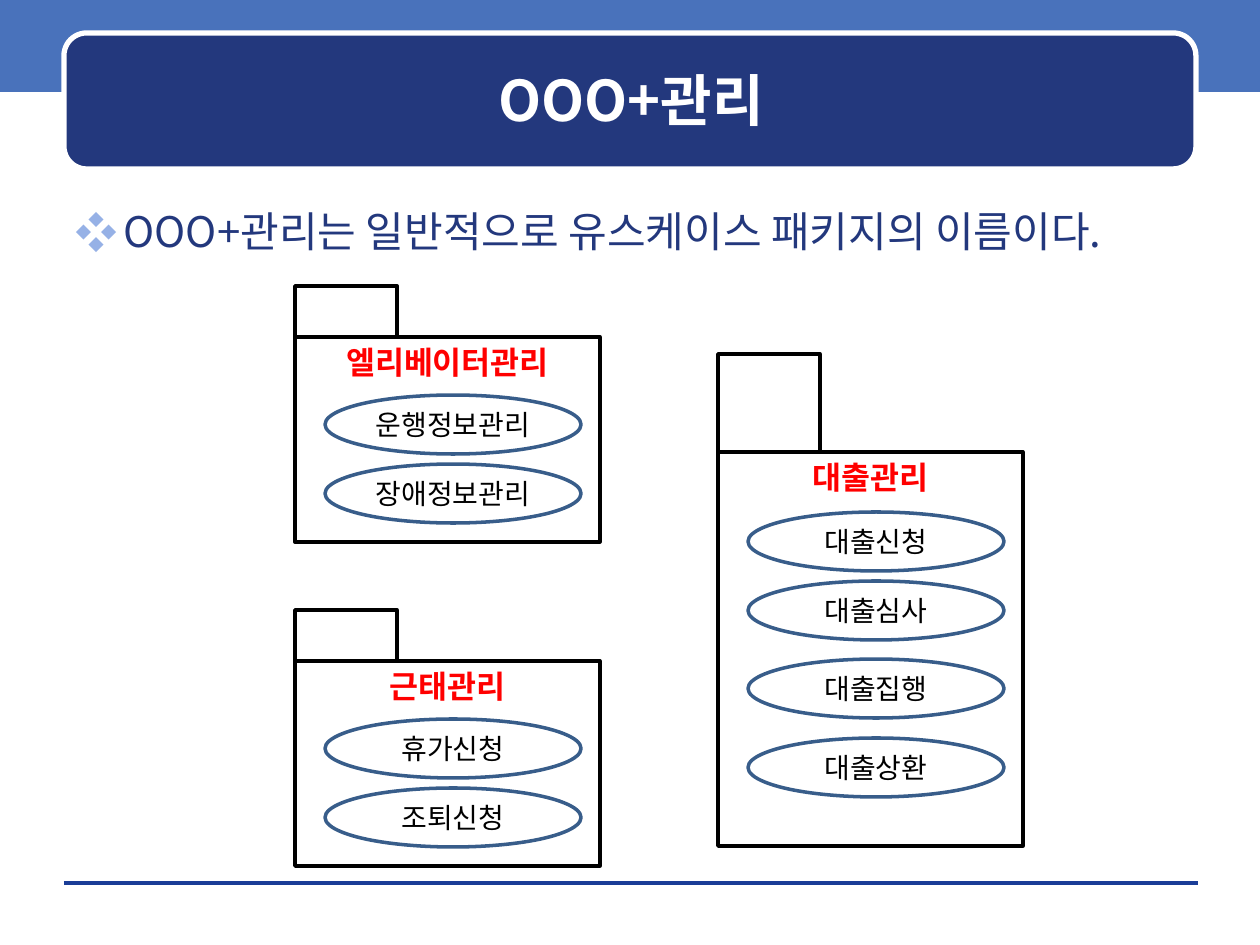
"""Build a slide of use case packages."""
import pptx
import pptx.util
import pptx.dml.color
import pptx.enum.shapes
import pptx.enum.text
import pptx.oxml
import pptx.oxml.ns

TITLE = "OOO+관리"
LEAD = "OOO+관리는 일반적으로 유스케이스 패키지의 이름이다."
PACKS = [
    {"name": "엘리베이터관리", "at": (295, 286), "tab": 51, "body": 205,
     "cases": [("운행정보관리", 58), ("장애정보관리", 127)]},
    {"name": "근태관리", "at": (295, 610), "tab": 51, "body": 205,
     "cases": [("휴가신청", 58), ("조퇴신청", 127)]},
    {"name": "대출관리", "at": (718, 354), "tab": 98, "body": 394,
     "cases": [("대출신청", 60), ("대출심사", 129),
               ("대출집행", 207), ("대출상환", 286)]},
]
FONT = "Noto Sans CJK KR"
NAVY, BLUE, WHITE, BLACK = "23387D", "4972BB", "FFFFFF", "000000"
SCALE = 914400 / 126
KIND = pptx.enum.shapes.MSO_SHAPE
ALIGN = pptx.enum.text.PP_ALIGN
ANCHOR = pptx.enum.text.MSO_ANCHOR


def px(num):
    return pptx.util.Emu(round(num * SCALE))


def tint(code):
    return pptx.dml.color.RGBColor.from_string(code)


def place(shape, *box):
    shape.left, shape.top, shape.width, shape.height = map(px, box)


def draw(home, kind, box, fill=None, edge=None, wide=2):
    shape = home.add_shape(kind, *map(px, box))
    shape.shadow.inherit = False
    if fill:
        shape.fill.solid()
        shape.fill.fore_color.rgb = tint(fill)
    else:
        shape.fill.background()
    if edge:
        shape.line.color.rgb = tint(edge)
        shape.line.width = pptx.util.Pt(wide)
    else:
        shape.line.fill.background()
    return shape


def write(shape, text, size, code, bold=False, anchor=ANCHOR.MIDDLE,
          align=ALIGN.CENTER):
    frame = shape.text_frame
    frame.text = text
    frame.word_wrap = True
    frame.auto_size = pptx.enum.text.MSO_AUTO_SIZE.NONE
    frame.vertical_anchor = anchor
    para = frame.paragraphs[0]
    para.alignment = align
    para.space_before = pptx.util.Pt(0)
    for run in para.runs:
        font = run.font
        font.name, font.size, font.bold = FONT, pptx.util.Pt(size), bold
        font.color.rgb = tint(code)
        east = pptx.oxml.parse_xml(
            f'<a:ea {pptx.oxml.ns.nsdecls("a")} typeface="{FONT}"/>')
        font.fill._xPr.find(pptx.oxml.ns.qn("a:latin")).addnext(east)
    return para


def mark(para, sign, code):
    props = para._p.get_or_add_pPr()
    props.set("marL", str(px(48)))
    props.set("indent", str(-px(48)))
    space = pptx.oxml.ns.nsdecls("a")
    for part in (f'<a:buClr {space}><a:srgbClr val="{code}"/></a:buClr>',
                 f'<a:buFont {space} typeface="{FONT}"/>',
                 f'<a:buChar {space} char="{sign}"/>'):
        props.append(pptx.oxml.parse_xml(part))


def pack(shapes, item):
    left, top = item["at"]
    base = top + item["tab"]
    for text, down in item["cases"]:
        oval = draw(shapes, KIND.OVAL, (left + 30, base + down, 256, 59),
                    edge="385D8A")
        oval.text_frame.margin_left = oval.text_frame.margin_right = 0
        write(oval, text, 16, BLACK)
    group = shapes.add_group_shape().shapes
    body = draw(group, KIND.RECTANGLE, (left, base, 305, item["body"]),
                edge=BLACK)
    write(body, item["name"], 18, "FF0000", True, ANCHOR.TOP)
    draw(group, KIND.RECTANGLE, (left, top, 102, item["tab"]), edge=BLACK)


def main():
    deck = pptx.Presentation()
    deck.slide_width, deck.slide_height = px(1260), px(945)
    slide = deck.slides.add_slide(deck.slide_layouts[1])
    shapes = slide.shapes
    title, lead = slide.placeholders

    draw(shapes, KIND.RECTANGLE, (0, -4, 1260, 96), BLUE)
    rule = shapes.add_connector(pptx.enum.shapes.MSO_CONNECTOR.STRAIGHT,
                                *map(px, (64, 883, 1198, 883)))
    rule.line.color.rgb = tint("1A3D97")
    rule.line.width = 0
    rule._element.spPr.append(pptx.oxml.parse_xml(
        f'<a:effectLst {pptx.oxml.ns.nsdecls("a")}/>'))
    draw(shapes, KIND.ROUNDED_RECTANGLE, (64, 33, 1132, 136), NAVY, WHITE, 3)

    for holder in (title, lead):
        holder.element.getparent().append(holder.element)
    place(title, 76, 44, 1110, 111)
    write(title, TITLE, 32, WHITE, True)
    place(lead, 63, 199, 1134, 672)
    para = write(lead, LEAD, 24, NAVY, False, ANCHOR.TOP, ALIGN.LEFT)
    mark(para, "❖", "96B1E6")

    for item in PACKS:
        pack(shapes, item)
    deck.save("out.pptx")


if __name__ == "__main__":
    main()
